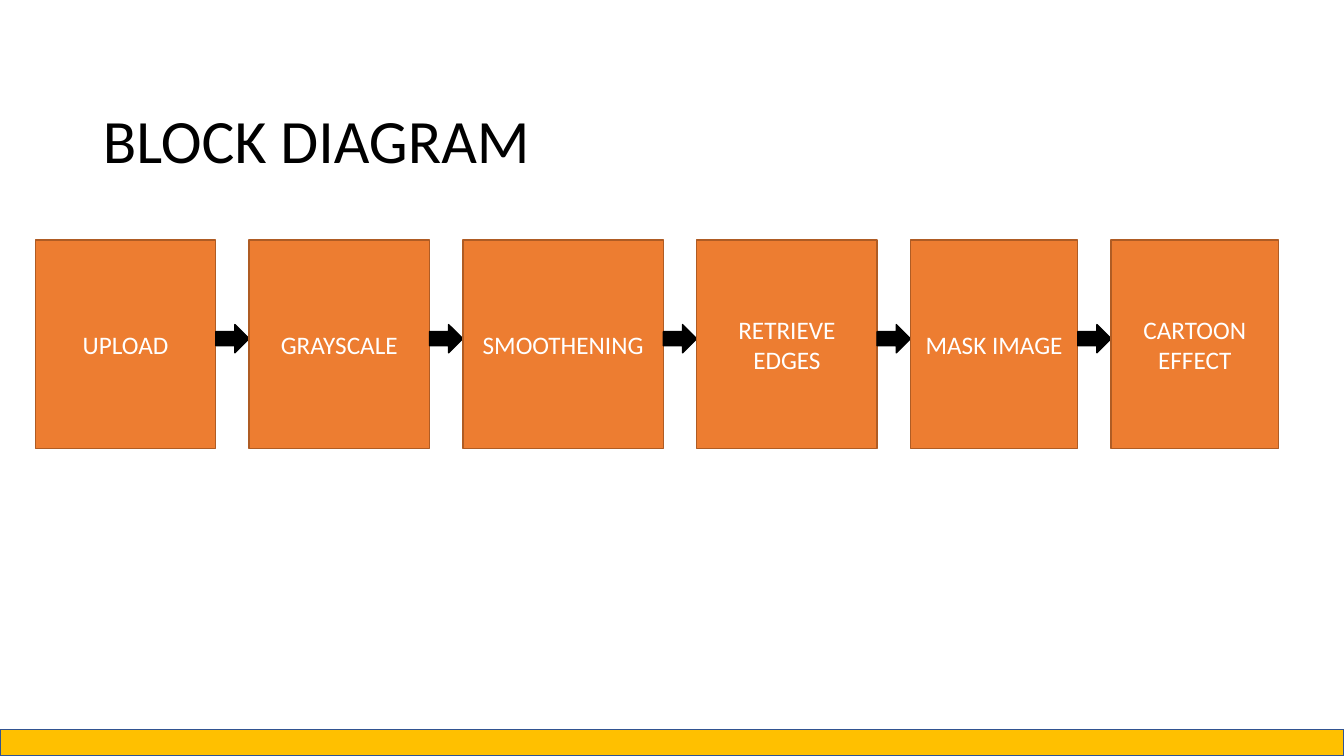
from dataclasses import dataclass

from pptx import Presentation
from pptx.dml.color import RGBColor
from pptx.enum.shapes import MSO_SHAPE
from pptx.enum.text import MSO_ANCHOR, MSO_AUTO_SIZE, PP_ALIGN
from pptx.util import Inches, Pt


@dataclass(frozen=True)
class Theme:
    font: str = "Calibri"
    title_size: int = 44
    step_size: int = 18
    title: str = "000000"
    step_text: str = "FFFFFF"
    step_fill: str = "ED7D31"
    step_line: str = "AF5C24"
    arrow: str = "000000"
    footer_fill: str = "FFC000"
    footer_line: str = "325491"
    line_width: int = 1


THEME = Theme()
STEPS = [
    ("UPLOAD", 1.79),
    ("GRAYSCALE", 1.79),
    ("SMOOTHENING", 1.99),
    ("RETRIEVE EDGES", 1.79),
    ("MASK IMAGE", 1.66),
    ("CARTOON EFFECT", 1.66),
]
FLOW_LEFT, STEP_TOP, STEP_HEIGHT = 0.35, 2.38, 2.07
ARROW_TOP, ARROW_WIDTH, ARROW_HEIGHT = 3.22, 0.33, 0.28


def add_text(paragraph, text, size, color):
    run = paragraph.add_run()
    run.text = text
    run.font.name = THEME.font
    run.font.size = Pt(size)
    run.font.color.rgb = RGBColor.from_string(color)


def add_block(slide, preset, left, top, width, height, fill, line):
    block = slide.shapes.add_shape(
        preset, Inches(left), Inches(top), Inches(width), Inches(height))
    block.shadow.inherit = False
    block.fill.solid()
    block.fill.fore_color.rgb = RGBColor.from_string(fill)
    block.line.color.rgb = RGBColor.from_string(line)
    block.line.width = Pt(THEME.line_width)
    return block


def add_title(slide, text):
    title = slide.shapes.title
    title.left, title.top = Inches(0.92), Inches(1.04)
    title.width, title.height = Inches(11.5), Inches(0.77)
    frame = title.text_frame
    frame.auto_size = MSO_AUTO_SIZE.NONE
    frame.vertical_anchor = MSO_ANCHOR.MIDDLE
    heading = frame.paragraphs[0]
    heading.alignment = PP_ALIGN.LEFT
    heading.line_spacing = 0.9
    add_text(heading, text, THEME.title_size, THEME.title)


def add_step(slide, label, left, width):
    step = add_block(slide, MSO_SHAPE.RECTANGLE, left, STEP_TOP, width,
                     STEP_HEIGHT, THEME.step_fill, THEME.step_line)
    frame = step.text_frame
    frame.word_wrap = True
    frame.vertical_anchor = MSO_ANCHOR.MIDDLE
    caption = frame.paragraphs[0]
    caption.alignment = PP_ALIGN.CENTER
    add_text(caption, label, THEME.step_size, THEME.step_text)


def add_flow(slide):
    left = FLOW_LEFT
    for position, (label, width) in enumerate(STEPS):
        if position:
            add_block(slide, MSO_SHAPE.RIGHT_ARROW, left, ARROW_TOP,
                      ARROW_WIDTH, ARROW_HEIGHT, THEME.arrow, THEME.arrow)
            left += ARROW_WIDTH
        add_step(slide, label, left, width)
        left += width


def main():
    deck = Presentation()
    deck.slide_width, deck.slide_height = Inches(13.33), Inches(7.5)
    slide = deck.slides.add_slide(deck.slide_layouts[5])
    add_block(slide, MSO_SHAPE.RECTANGLE, 0, 7.24, 13.33, 0.26,
              THEME.footer_fill, THEME.footer_line)
    add_title(slide, "BLOCK DIAGRAM")
    add_flow(slide)
    deck.save("out.pptx")


if __name__ == "__main__":
    main()
